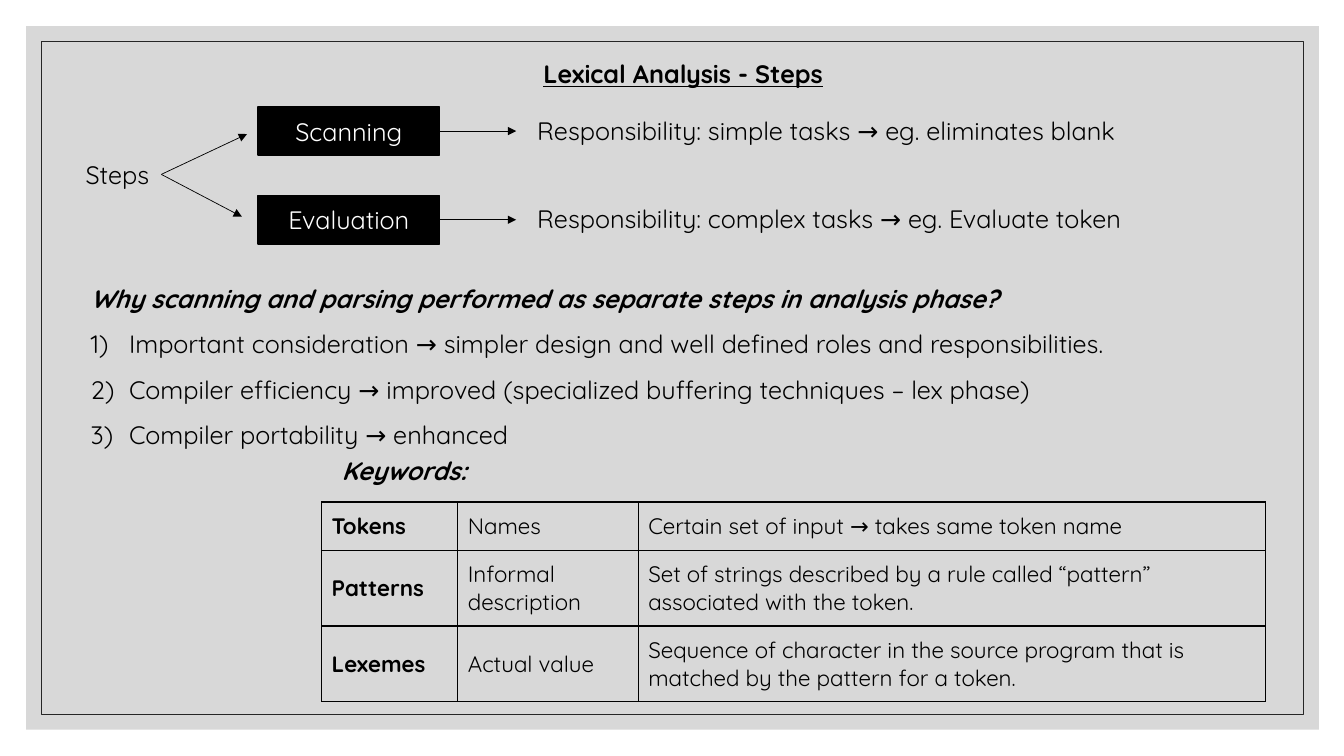
from dataclasses import dataclass

from lxml.etree import SubElement
from pptx import Presentation
from pptx.dml.color import RGBColor
from pptx.enum.shapes import MSO_CONNECTOR, MSO_SHAPE
from pptx.enum.text import MSO_ANCHOR, MSO_AUTO_SIZE, PP_ALIGN
from pptx.oxml.ns import qn
from pptx.util import Inches, Pt


@dataclass(frozen=True)
class Theme:
    """Colours, type sizes and line widths of the slide."""
    font: str = "Quicksand"
    ink: RGBColor = RGBColor(0, 0, 0)
    paper: RGBColor = RGBColor(255, 255, 255)
    panel: RGBColor = RGBColor(0xBF, 0xBF, 0xBF)
    panel_opacity: int = 60
    frame: RGBColor = RGBColor(0x26, 0x26, 0x26)
    text: Pt = Pt(18)
    cell: Pt = Pt(16)
    thin: Pt = Pt(0.5)
    border: Pt = Pt(1)


@dataclass(frozen=True)
class Box:
    """An area of the slide in inches."""
    left: float
    top: float
    width: float
    height: float

    def inside(self, left, top, width, height):
        """Return a box placed relative to this one."""
        return Box(self.left + left, self.top + top, width, height)

    def lengths(self):
        """Return left, top, width and height as lengths."""
        return [Inches(value) for value in (self.left, self.top, self.width, self.height)]


THEME = Theme()
STEPS = (
    ("Scanning", "Responsibility: simple tasks → eg. eliminates blank", (1.7, 0.27)),
    ("Evaluation", "Responsibility: complex tasks → eg. Evaluate token", (1.65, 1.09)),
)
QUESTION = "Why scanning and parsing performed as separate steps in analysis phase?"
REASONS = (
    "Important consideration → simpler design and well defined roles and responsibilities.",
    "Compiler efficiency → improved (specialized buffering techniques – lex phase)",
    "Compiler portability → enhanced",
)
KEYWORDS = (
    ("Tokens", "Names", "Certain set of input → takes same token name"),
    ("Patterns", "Informal description",
     "Set of strings described by a rule called “pattern” associated with the token."),
    ("Lexemes", "Actual value",
     "Sequence of character in the source program that is matched by the pattern for a token."),
)


def write(paragraph, text, size=THEME.text, color=THEME.ink, bold=False, italic=False,
          underline=False, align=PP_ALIGN.LEFT, spacing=1.0):
    """Write text into a paragraph with the given format."""
    paragraph.alignment = align
    paragraph.line_spacing = spacing
    paragraph.space_before = Pt(0)
    run = paragraph.add_run()
    run.text = text
    font = run.font
    font.name, font.size, font.color.rgb = THEME.font, size, color
    font.bold, font.italic, font.underline = bold, italic, underline


def place(shape, box):
    """Move a placeholder to a box."""
    shape.left, shape.top, shape.width, shape.height = box.lengths()


def add_label(slide, box, text, **style):
    """Add a one-line text box."""
    label = slide.shapes.add_textbox(*box.lengths())
    label.text_frame.word_wrap = False
    write(label.text_frame.paragraphs[0], text, **style)
    return label


def add_rectangle(slide, box, fill=None, line=None, width=THEME.border):
    """Add a rectangle without shadow."""
    shape = slide.shapes.add_shape(MSO_SHAPE.RECTANGLE, *box.lengths())
    shape.shadow.inherit = False
    if fill is None:
        shape.fill.background()
    else:
        shape.fill.solid()
        shape.fill.fore_color.rgb = fill
    if line is None:
        shape.line.fill.background()
    else:
        shape.line.color.rgb = line
        shape.line.width = width
    return shape


def add_arrow(slide, source, left, top):
    """Add an arrow from the right side of a shape to a point."""
    end = Inches(left), Inches(top)
    arrow = slide.shapes.add_connector(MSO_CONNECTOR.STRAIGHT, *end, *end)
    arrow.begin_connect(source, 3)
    arrow.line.color.rgb = THEME.ink
    arrow.line.width = THEME.thin
    properties = arrow.element.spPr
    SubElement(properties.find(qn("a:ln")), qn("a:tailEnd"), type="triangle")
    SubElement(properties, qn("a:effectLst"))


def add_frame(slide, box):
    """Put the grey panel and its inner outline behind everything."""
    panel = add_rectangle(slide, box, fill=THEME.panel)
    color = panel.element.spPr.find(qn("a:solidFill"))[0]
    SubElement(color, qn("a:alpha"), val=str(THEME.panel_opacity * 1000))
    inset = 0.15
    inner = box.inside(inset, inset, box.width - 2 * inset, box.height - 2 * inset)
    outline = add_rectangle(slide, inner, line=THEME.frame, width=THEME.thin)
    for position, shape in enumerate((panel, outline), start=2):
        shape.element.getparent().insert(position, shape.element)


def add_title(slide, box):
    """Fill the title placeholder."""
    title = slide.shapes.title
    place(title, box)
    title.text_frame.auto_size = MSO_AUTO_SIZE.NONE
    title.text_frame.word_wrap = False
    write(title.text_frame.paragraphs[0], "Lexical Analysis - Steps", bold=True, underline=True)


def add_steps(slide, box):
    """Draw the fork from the steps label to each step and its duty."""
    start = add_label(slide, box.inside(0, 0.47, 0.85, 0.4), "Steps")
    for index, (name, duty, (tip_left, tip_top)) in enumerate(STEPS):
        row = box.inside(0, 0.88 * index, box.width, 0.48)
        step = add_rectangle(slide, row.inside(1.81, 0, 1.8, row.height),
                             fill=THEME.ink, line=THEME.ink)
        step.text_frame.vertical_anchor = MSO_ANCHOR.MIDDLE
        write(step.text_frame.paragraphs[0], name, color=THEME.paper, align=PP_ALIGN.CENTER)
        add_arrow(slide, start, box.left + tip_left, box.top + tip_top)
        add_arrow(slide, step, row.left + 4.37, row.top + row.height / 2)
        add_label(slide, row.inside(4.48, 0.03, 6.35, 0.4), duty)


def add_reasons(slide, box):
    """Fill the body placeholder with the question and numbered reasons."""
    body = slide.placeholders[1]
    place(body, box)
    frame = body.text_frame
    frame.auto_size = MSO_AUTO_SIZE.NONE
    for index, text in enumerate((QUESTION, *REASONS)):
        paragraph = frame.paragraphs[0] if index == 0 else frame.add_paragraph()
        indent = Inches(0.38) if index else 0
        properties = paragraph._p.get_or_add_pPr()
        properties.set("marL", str(indent))
        properties.set("indent", str(-indent))
        if index:
            SubElement(properties, qn("a:buFont"), typeface=THEME.font)
            SubElement(properties, qn("a:buAutoNum"), type="arabicParenR")
        else:
            SubElement(properties, qn("a:buNone"))
        write(paragraph, text, bold=index == 0, italic=index == 0, spacing=1.5)


def format_cell(cell, text, bold):
    """Write a table cell with black borders and no fill."""
    cell.vertical_anchor = MSO_ANCHOR.MIDDLE
    write(cell.text_frame.paragraphs[0], text, size=THEME.cell, bold=bold)
    properties = cell._tc.get_or_add_tcPr()
    for side in ("lnL", "lnR", "lnT", "lnB"):
        line = SubElement(properties, qn(f"a:{side}"), w=str(int(THEME.border)))
        fill = SubElement(line, qn("a:solidFill"))
        SubElement(fill, qn("a:srgbClr"), val=str(THEME.ink))
    cell.fill.background()


def add_keywords(slide, box):
    """Add the keywords heading and table."""
    add_label(slide, box.inside(0.1, 0, 1.44, 0.4), "Keywords:", bold=True, italic=True)
    area = box.inside(0, 0.51, box.width, box.height - 0.51)
    table = slide.shapes.add_table(len(KEYWORDS), len(KEYWORDS[0]), *area.lengths()).table
    table.first_row = table.horz_banding = False
    for column, width in zip(table.columns, (1.35, 1.79, 6.22)):
        column.width = Inches(width)
    for row, height, texts in zip(table.rows, (0.48, 0.75, 0.75), KEYWORDS):
        row.height = Inches(height)
        for index, (cell, text) in enumerate(zip(row.cells, texts)):
            format_cell(cell, text, bold=index == 0)


def main():
    """Build and save the slide."""
    presentation = Presentation()
    presentation.slide_width, presentation.slide_height = Inches(13.33), Inches(7.5)
    slide = presentation.slides.add_slide(presentation.slide_layouts[1])
    add_frame(slide, Box(0.26, 0.26, 12.82, 6.98))
    add_title(slide, Box(5.29, 0.53, 3.02, 0.4))
    add_steps(slide, Box(0.75, 1.06, 10.83, 1.36))
    add_reasons(slide, Box(0.8, 2.61, 11.51, 1.86))
    add_keywords(slide, Box(3.19, 4.47, 9.36, 2.49))
    presentation.save("out.pptx")


if __name__ == "__main__":
    main()
